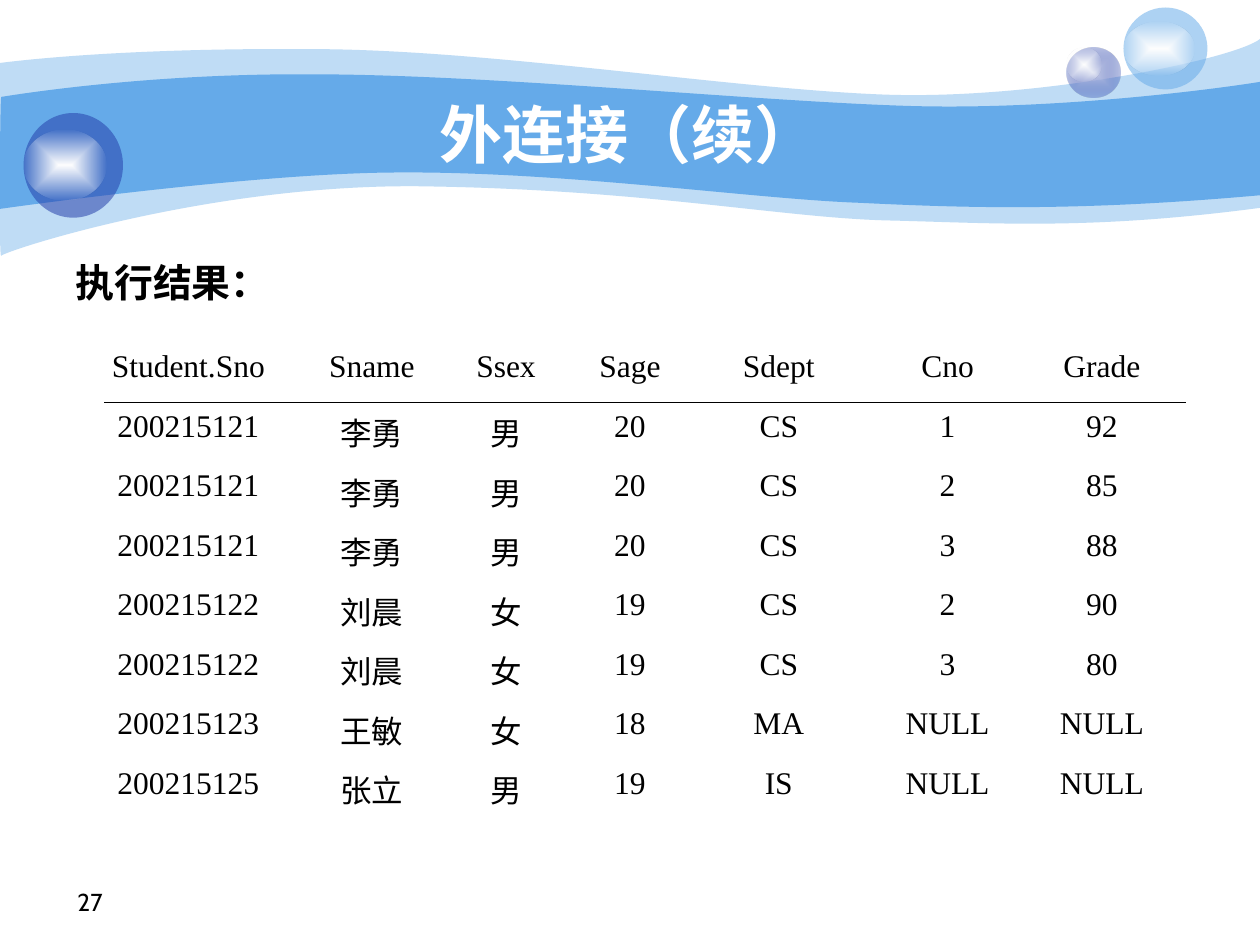
from dataclasses import dataclass
from typing import Optional

from lxml import etree
from pptx import Presentation
from pptx import util as u
from pptx.dml.color import RGBColor
from pptx.enum import shapes, text
from pptx.oxml import parse_xml
from pptx.oxml.ns import nsdecls, qn

COLORS = {"sky": "65AAE9", "navy": "233DA9", "lilac": "C7CEE9",
          "white": "FFFFFF", "black": "000000"}
PLAIN_TABLE = "{2D5ABB26-0587-4C30-8999-92F81FD0307C}"


@dataclass
class Band:
    start: tuple
    upper: list
    corner: tuple
    lower: list
    opacity: int


@dataclass
class Disc:
    left: float
    top: float
    width: float
    height: float
    color: str
    opacity: int
    center: Optional[str] = None


BANDS = [
    Band((0, 36),
         [(17.3, 33.8), (77, 27.4), (177.8, 28.1),
          (277.9, 28.1), (414, 50.4), (503.3, 54),
          (591.8, 57.6), (705.6, 33.8), (720, 22.3)],
         (720, 118.8),
         [(622.1, 131.8), (566.6, 127.4), (507.6, 126),
          (447.8, 124.6), (370.8, 108.7), (247, 106.6),
          (123.8, 103.7), (2.9, 143.3), (0.7, 146.2),
          (-0.7, 149.8), (0, 54), (0, 36)], 41),
    Band((0.7, 55.4),
         [(1.4, 55.4), (79.2, 41.8), (178.6, 42.5),
          (277.9, 42.5), (428.4, 57.6), (517, 60.5),
          (605.5, 63.4), (702.7, 49.7), (720, 46.8)],
         (720, 111.6),
         [(614.2, 121), (550.8, 118.8), (491, 115.9),
          (431.3, 113.8), (321.8, 97.9), (228.2, 98.6),
          (146.2, 98.6), (-1.4, 119.5), (-0.7, 119.5),
          (0, 119.5), (0, 55.4), (0.7, 55.4)], 100),
]

DISCS = [
    Disc(609.5, 27, 30.5, 29, "navy", 31, "lilac"),
    Disc(609.5, 27, 20, 19.5, "white", 0, "white"),
    Disc(642, 4.3, 48, 46.8, "sky", 53),
    Disc(642, 12.2, 40.3, 31, "white", 0, "white"),
    Disc(13.5, 64.6, 56.8, 59.8, "navy", 53),
    Disc(13.5, 74.2, 47.5, 40.3, "white", 0, "white"),
]

COLUMN_WIDTHS = [130.3, 79.5, 73.8, 67.9, 102.2, 90.7, 85.7]
ROW_HEIGHT = 34
RESULTS = [
    ("Student.Sno", "Sname", "Ssex", "Sage", "Sdept", "Cno", "Grade"),
    ("200215121", "李勇", "男", "20", "CS", "1", "92"),
    ("200215121", "李勇", "男", "20", "CS", "2", "85"),
    ("200215121", "李勇", "男", "20", "CS", "3", "88"),
    ("200215122", "刘晨", "女", "19", "CS", "2", "90"),
    ("200215122", "刘晨", "女", "19", "CS", "3", "80"),
    ("200215123", "王敏", "女", "18", "MA", "NULL", "NULL"),
    ("200215125", "张立", "男", "19", "IS", "NULL", "NULL"),
]


def rgb(name: str) -> RGBColor:
    return RGBColor.from_string(COLORS[name])


def place(sp, left: float, top: float, width: float, height: float) -> None:
    sp.left, sp.top = u.Pt(left), u.Pt(top)
    sp.width, sp.height = u.Pt(width), u.Pt(height)


def write(tf, words: str, *, size: float, font: str, color: str = "black",
          bold: bool = False, align=text.PP_ALIGN.CENTER, anchor=None) -> None:
    if anchor is not None:
        tf.vertical_anchor = anchor
    p = tf.paragraphs[0]
    p.alignment = align
    r = p.add_run()
    r.text = words
    r.font.size, r.font.name, r.font.bold = u.Pt(size), font, bold
    r.font.color.rgb = rgb(color)


def add_text(s, box: tuple, words: str, **style) -> None:
    tf = s.shapes.add_textbox(*(u.Pt(v) for v in box)).text_frame
    tf.word_wrap = True
    write(tf, words, **style)


def fill_solid(sp, color: str, opacity: int) -> None:
    sp.fill.solid()
    sp.fill.fore_color.rgb = rgb(color)
    if opacity < 100:
        clr = sp.element.spPr.find(qn("a:solidFill"))[0]
        etree.SubElement(clr, qn("a:alpha")).set("val", str(opacity * 1000))


def fill_glow(sp, center: str, edge: str, opacity: int) -> None:
    sp.fill.background()
    spPr = sp.element.spPr
    spPr.replace(spPr.find(qn("a:noFill")), parse_xml(
        f'<a:gradFill {nsdecls("a")} rotWithShape="1"><a:gsLst>'
        f'<a:gs pos="0"><a:srgbClr val="{COLORS[center]}"/></a:gs>'
        f'<a:gs pos="100000"><a:srgbClr val="{COLORS[edge]}">'
        f'<a:alpha val="{opacity * 1000}"/></a:srgbClr></a:gs></a:gsLst>'
        '<a:path path="rect"><a:fillToRect l="50000" t="50000" r="50000" '
        'b="50000"/></a:path></a:gradFill>'))


def bend(segments: list) -> None:
    for i in range(0, len(segments), 3):
        curve = etree.Element(qn("a:cubicBezTo"))
        segments[i].addprevious(curve)
        for segment in segments[i:i + 3]:
            curve.append(segment[0])
            segment.getparent().remove(segment)


def add_band(s, band: Band) -> None:
    points = band.upper + [band.corner] + band.lower
    fb = s.shapes.build_freeform(*(u.Pt(v) for v in band.start))
    fb.add_line_segments([(u.Pt(x), u.Pt(y)) for x, y in points])
    sp = fb.convert_to_shape()
    segments = list(sp.element.spPr.iter(qn("a:lnTo")))
    split = len(band.upper)
    bend(segments[:split])
    bend(segments[split + 1:split + 1 + len(band.lower)])
    sp.shadow.inherit = False
    sp.line.fill.background()
    fill_solid(sp, "sky", band.opacity)


def add_disc(s, d: Disc) -> None:
    sp = s.shapes.add_shape(shapes.MSO_SHAPE.OVAL, u.Pt(d.left), u.Pt(d.top),
                            u.Pt(d.width), u.Pt(d.height))
    sp.shadow.inherit = False
    sp.line.fill.background()
    if d.center:
        fill_glow(sp, d.center, d.color, d.opacity)
    else:
        fill_solid(sp, d.color, d.opacity)


def add_results(s) -> None:
    frame = s.shapes.add_table(
        len(RESULTS), len(COLUMN_WIDTHS), u.Pt(42.5), u.Pt(196.3),
        u.Pt(sum(COLUMN_WIDTHS)), u.Pt(ROW_HEIGHT * len(RESULTS)))
    next(frame.element.iter(qn("a:tableStyleId"))).text = PLAIN_TABLE
    tbl = frame.table
    tbl.first_row = tbl.horz_banding = False
    for column, width in zip(tbl.columns, COLUMN_WIDTHS):
        column.width = u.Pt(width)
    for row, values in zip(tbl.rows, RESULTS):
        row.height = u.Pt(ROW_HEIGHT)
        for cell, value in zip(row.cells, values):
            cell.fill.background()
            write(cell.text_frame, value, size=18, font="Times New Roman")


def add_rule(s, x1: float, x2: float, y: float) -> None:
    ln = s.shapes.add_connector(shapes.MSO_CONNECTOR.STRAIGHT,
                                u.Pt(x1), u.Pt(y), u.Pt(x2), u.Pt(y))
    ln.line.color.rgb = rgb("black")
    ln.line.width = u.Pt(0.75)
    etree.SubElement(ln.element.spPr, qn("a:effectLst"))


def main() -> None:
    prs = Presentation()
    prs.slide_width, prs.slide_height = u.Pt(720), u.Pt(540)
    s = prs.slides.add_slide(prs.slide_layouts[5])
    for band in BANDS:
        add_band(s, band)
    for disc in DISCS:
        add_disc(s, disc)
    add_text(s, (19.7, 491, 46, 36), "27", size=14, font="Cabin",
             align=text.PP_ALIGN.RIGHT, anchor=text.MSO_ANCHOR.BOTTOM)
    title = s.shapes.title
    title.element.getparent().append(title.element)
    place(title, 72, 54, 582, 44.6)
    title.text_frame.auto_size = text.MSO_AUTO_SIZE.NONE
    write(title.text_frame, "外连接（续） ", size=36, font="Arial",
          color="white", bold=True, anchor=text.MSO_ANCHOR.MIDDLE)
    add_text(s, (36, 144, 318, 35.3), "执行结果： ", size=22.2, font="Arial",
             bold=True, align=text.PP_ALIGN.JUSTIFY)
    add_results(s)
    add_rule(s, 59.5, 677.5, 230.2)
    prs.save("out.pptx")


if __name__ == "__main__":
    main()
